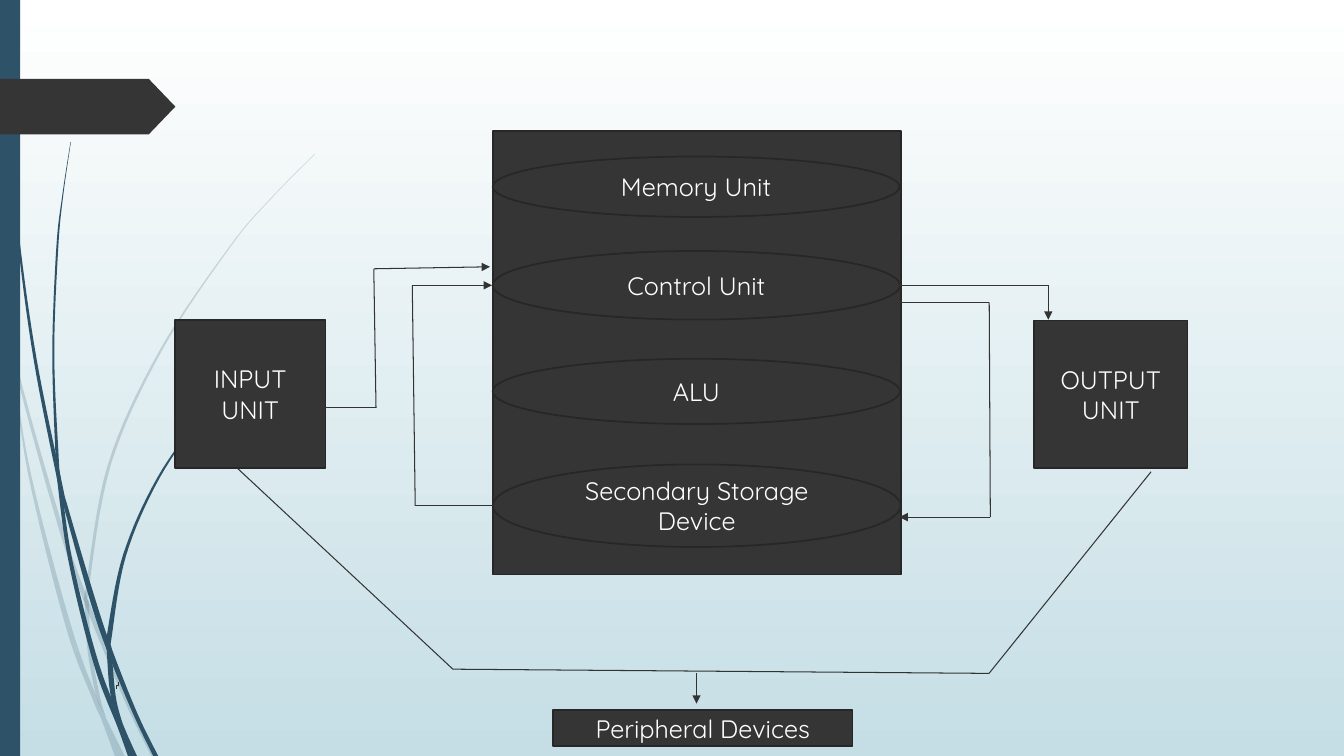
from itertools import pairwise

from lxml import etree
from pptx import Presentation
from pptx.dml.color import RGBColor
from pptx.enum.shapes import MSO_CONNECTOR, MSO_SHAPE
from pptx.enum.text import MSO_ANCHOR, PP_ALIGN
from pptx.oxml.ns import qn
from pptx.util import Pt

RECT, OVAL, PENTAGON = MSO_SHAPE.RECTANGLE, MSO_SHAPE.OVAL, MSO_SHAPE.PENTAGON
STRAIGHT = MSO_CONNECTOR.STRAIGHT
CENTER, MIDDLE = PP_ALIGN.CENTER, MSO_ANCHOR.MIDDLE


class Theme:
    font = "Quicksand"
    size = 18
    text = RGBColor(0xFF, 0xFF, 0xFF)
    box = RGBColor(0x35, 0x35, 0x35)
    border = RGBColor(0x27, 0x27, 0x27)
    wire = RGBColor(0x33, 0x33, 0x33)
    accent = RGBColor(0x2E, 0x53, 0x69)
    sky = (RGBColor(0xFF, 0xFF, 0xFF), RGBColor(0xC5, 0xDE, 0xE5))
    border_width = 1.25
    wire_width = 0.75
    pale = 20  # opacity of the pale wisps, percent


# Kind, label, left, top, width, height
BLOCKS = [
    (RECT, "", 352, 93.4, 291.4, 317),
    (OVAL, "Memory Unit", 352, 111.8, 290.5, 43.2),
    (OVAL, "Control Unit", 352, 179.3, 290.9, 49),
    (OVAL, "ALU", 352, 256.3, 290.9, 46.6),
    (OVAL, "Secondary Storage Device", 352, 331.7, 291.4, 59),
    (RECT, "INPUT UNIT", 125, 228.4, 107.5, 106),
    (RECT, "OUTPUT UNIT", 738.7, 228.9, 109.6, 105.3),
    (RECT, "Peripheral Devices", 395, 507.4, 214, 25.6),
]

# Corner points, whether the last leg ends in an arrowhead
ROUTES = [
    ([(83.5, 492.5), (83.5, 489.6), (85, 489.6), (85, 487.4)], False),
    ([(352, 361.4), (296.6, 361.4), (294.5, 203.8), (351.4, 203.8)], True),
    ([(232.5, 291.4), (268.6, 291.4), (267, 192), (350, 190.6)], True),
    ([(642.5, 203.8), (748.8, 203.8), (748.8, 228.4)], True),
    ([(643, 216), (706.6, 216), (707.4, 369.4), (642.5, 369.4)], True),
    ([(169.5, 334.4), (323.5, 478), (706.5, 481), (822.2, 337)], False),
    ([(497.5, 481), (497.5, 502.6)], True),
]

# Left edge x, y and horizontal width along each wisp
PALE_WISPS = [
    [(0, 205, 2), (12, 268, 2), (41.5, 376, 3.2), (60.5, 431, 3.5),
     (88.5, 499.5, 3.5), (108, 540, 3.6)],
    [(8, 252, 0), (20, 338, 2), (46.8, 447, 4), (66, 499, 3.5),
     (72.5, 514, 3.8), (82, 540, 7)],
    [(224.6, 110, 0.5), (193, 142, 0.7), (164, 176, 0.9), (113.8, 250.6, 1.8),
     (77, 332, 2.2), (61.2, 420.5, 2.2), (60.5, 431, 2.9), (62.6, 465, 2.9),
     (69, 498, 2.5), (75.6, 512, 0)],
]
DARK_WISPS = [
    [(2.2, 0, 0.7), (5, 79, 0.7), (12.2, 168, 1.4), (23.8, 255.6, 2.2),
     (41, 343.4, 2.9), (46, 363.6, 2.9), (63.4, 426, 4), (76.3, 464.4, 3.9),
     (95, 509.8, 3.2), (109.4, 540, 3.6)],
    [(50.4, 101.5, 0.3), (44.6, 139, 0.7), (40.3, 176.4, 1.4), (37.4, 251.3, 1.4),
     (39.6, 323.3, 2.2), (41, 343.4, 2.6), (49, 401, 2.9), (67, 474.5, 3.8),
     (84.2, 519.8, 4.7), (91.4, 540, 6.5)],
    [(187.2, 247.7, 0.8), (166, 268.6, 0.9), (147, 291.6, 1), (112.3, 341.3, 1.8),
     (87.8, 396.7, 2.3), (76.3, 454.3, 3.6), (76.3, 464.4, 3.5), (79.2, 497.5, 3.5),
     (87.8, 517.7, 0)],
]


def paint(sp, fill, line=None, opacity=100):
    sp.shadow.inherit = False
    sp.fill.solid()
    sp.fill.fore_color.rgb = fill
    if opacity < 100:
        color = sp._element.spPr.find(qn("a:solidFill"))[0]
        etree.SubElement(color, qn("a:alpha"), val=str(opacity * 1000))
    if line is None:
        sp.line.fill.background()
    else:
        sp.line.color.rgb = line
        sp.line.width = Pt(Theme.border_width)


def write(sp, text, size=Theme.size, color=Theme.text, align=CENTER):
    tf = sp.text_frame
    tf.word_wrap = True
    tf.vertical_anchor = MIDDLE
    p = tf.paragraphs[0]
    p.alignment = align
    r = p.add_run()
    r.text = text
    r.font.name = Theme.font
    r.font.size = Pt(size)
    r.font.color.rgb = color


def add_block(s, kind, box, fill, line=None, text=""):
    sp = s.shapes.add_shape(kind, *map(Pt, box))
    paint(sp, fill, line)
    if text:
        write(sp, text)
    return sp


def smooth(knots, steps=8):
    """Return points on the Catmull-Rom curve through the knots."""
    padded = [knots[0], *knots, knots[-1]]
    curve = []
    for a, b, c, d in zip(padded, padded[1:], padded[2:], padded[3:]):
        for i in range(steps):
            t = i / steps
            curve.append(tuple(
                (2 * q + (r - p) * t + (2 * p - 5 * q + 4 * r - u) * t**2
                 + (3 * q - p - 3 * r + u) * t**3) / 2
                for p, q, r, u in zip(a, b, c, d)))
    return curve + [knots[-1]]


def add_wisp(s, knots, opacity=100):
    curve = smooth(knots)
    outline = [(x, y) for x, y, _ in curve]
    outline += [(x + w, y) for x, y, w in reversed(curve)]
    start, *rest = [(Pt(x), Pt(y)) for x, y in outline]
    builder = s.shapes.build_freeform(*start)
    builder.add_line_segments(rest, close=True)
    paint(builder.convert_to_shape(), Theme.accent, opacity=opacity)


def add_route(s, points, arrow):
    for start, end in pairwise(points):
        leg = s.shapes.add_connector(STRAIGHT, *map(Pt, start + end))
        leg.line.color.rgb = Theme.wire
        leg.line.width = Pt(Theme.wire_width)
        etree.SubElement(leg._element.spPr, qn("a:effectLst"))
    if arrow:
        etree.SubElement(leg.line._get_or_add_ln(), qn("a:tailEnd"), type="triangle")


def add_backdrop(s):
    fill = s.background.fill
    fill.gradient()
    fill.gradient_angle = 270
    for stop, color in zip(fill.gradient_stops, Theme.sky):
        stop.color.rgb = color
    for knots in PALE_WISPS:
        add_wisp(s, knots, Theme.pale)
    for knots in DARK_WISPS:
        add_wisp(s, knots)
    add_block(s, RECT, (0, 0, 14.4, 540), Theme.accent)
    banner = add_block(s, PENTAGON, (0, 56.3, 125.3, 39.8), Theme.box)
    banner.adjustments[0] = 0.48


def main():
    prs = Presentation()
    prs.slide_width, prs.slide_height = Pt(960), Pt(540)
    s = prs.slides.add_slide(prs.slide_layouts[6])
    add_backdrop(s)
    for kind, label, *box in BLOCKS:
        add_block(s, kind, box, Theme.box, Theme.border, label)
    for points, arrow in ROUTES:
        add_route(s, points, arrow)
    prs.save("out.pptx")


if __name__ == "__main__":
    main()
